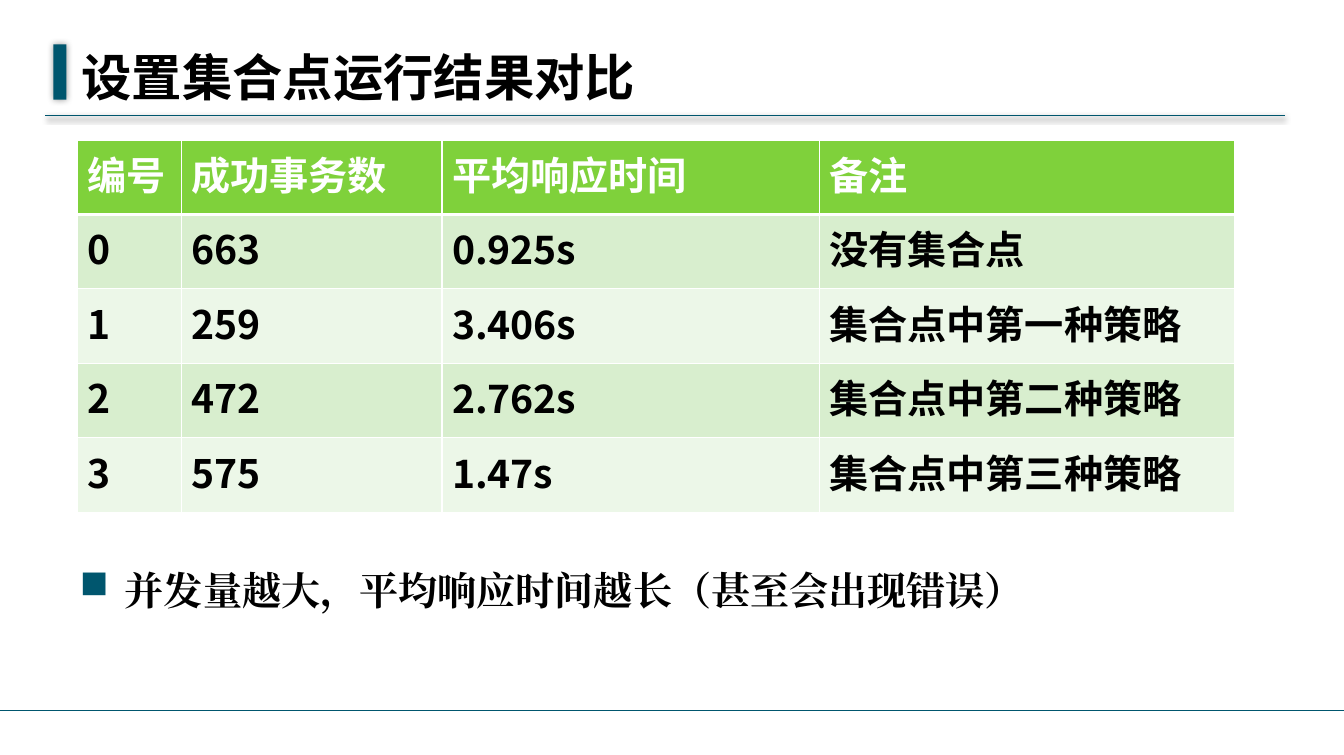
from lxml import etree
from pptx import Presentation, util as u
from pptx.dml.color import RGBColor
from pptx.enum import shapes, text
from pptx.oxml import ns

COLOURS = {"teal": "00566E", "black": "000000", "white": "FFFFFF",
           "header": "7FD13B", "odd": "D8EECE", "even": "ECF7E8"}
SANS, SERIF = "Noto Sans CJK SC", "Times New Roman"
COLUMNS, ROWS = 1335, 750  # the slide is a grid of square cells

deck = Presentation()
cell = u.Inches(0.01)
deck.slide_width, deck.slide_height = COLUMNS * cell, ROWS * cell
page = deck.slides.add_slide(deck.slide_layouts[6])


def write(frame, words, size=28, font=SANS, colour="black"):
    para = frame.paragraphs[0]
    span = para.add_run()
    span.text = words
    span.font.size, span.font.bold, span.font.name = u.Pt(size), True, font
    span.font.color.rgb = RGBColor.from_string(COLOURS[colour])
    east_asian = etree.SubElement(span.font._element, ns.qn("a:ea"))
    east_asian.set("typeface", font)
    return para


def set_shadow(shape, opacity=0, blur=0, distance=0):
    """Give the shape a downward black shadow, or none at zero opacity."""
    effects = etree.SubElement(shape._element.spPr, ns.qn("a:effectLst"))
    if opacity:
        shadow = etree.SubElement(effects, ns.qn("a:outerShdw"), blurRad=str(u.Pt(blur)),
                                  dist=str(u.Pt(distance)), dir="5400000", rotWithShape="0")
        black = etree.SubElement(shadow, ns.qn("a:srgbClr"), val=COLOURS["black"])
        etree.SubElement(black, ns.qn("a:alpha"), val=str(opacity * 1000))


# Title rule and footer rule
for left, right, height, shadow in ((45, 1276, 115, (42, 4, 1.6)), (0, COLUMNS, 706, ())):
    rule = page.shapes.add_connector(shapes.MSO_CONNECTOR.STRAIGHT, left * cell,
                                     height * cell, right * cell, height * cell)
    rule.line.color.rgb = RGBColor.from_string(COLOURS["teal"])
    rule.line.width = u.Pt(1)
    set_shadow(rule, *shadow)

# Title with its accent bar
bar = page.shapes.add_shape(shapes.MSO_SHAPE.RECTANGLE, 53 * cell, 44 * cell, 13 * cell, 55 * cell)
bar.fill.solid()
bar.fill.fore_color.rgb = RGBColor.from_string(COLOURS["teal"])
bar.line.fill.background()
set_shadow(bar, 40, 5)

title = page.shapes.add_textbox(69 * cell, 44 * cell, 905 * cell, 63 * cell)
conclusion = page.shapes.add_textbox(67 * cell, 533 * cell, 1112 * cell, 150 * cell)
for box in (title, conclusion):
    frame = box.text_frame
    frame.word_wrap = True
    frame.margin_left = frame.margin_right = 12 * cell
    frame.margin_top = frame.margin_bottom = 6 * cell
title.text_frame.vertical_anchor = text.MSO_ANCHOR.MIDDLE
write(title.text_frame, "设置集合点运行结果对比", size=36)

# Results table
results = [
    ("编号", "成功事务数", "平均响应时间", "备注"),
    ("0", "663", "0.925s", "没有集合点"),
    ("1", "259", "3.406s", "集合点中第一种策略"),
    ("2", "472", "2.762s", "集合点中第二种策略"),
    ("3", "575", "1.47s", "集合点中第三种策略"),
]
widths, row_height = (103, 259, 375, 412), 74
table = page.shapes.add_table(len(results), len(widths), 77 * cell, 139 * cell, sum(widths) * cell,
                              len(results) * row_height * cell).table
for column, width in zip(table.columns, widths):
    column.width = width * cell
for r, record in enumerate(results):
    table.rows[r].height = row_height * cell
    fill = "header" if r == 0 else "odd" if r % 2 else "even"
    for c, words in enumerate(record):
        entry = table.cell(r, c)
        write(entry.text_frame, words, colour="black" if r else "white")
        properties = entry._tc.get_or_add_tcPr()
        for side in "LRTB":
            under_header = (r, side) in ((0, "B"), (1, "T"))
            border = etree.SubElement(properties, ns.qn("a:ln" + side),
                                      w=str(u.Pt(3 if under_header else 1)))
            paint = etree.SubElement(border, ns.qn("a:solidFill"))
            etree.SubElement(paint, ns.qn("a:srgbClr"), val=COLOURS["white"])
        entry.fill.solid()
        entry.fill.fore_color.rgb = RGBColor.from_string(COLOURS[fill])

# Conclusion with a square bullet
para = write(conclusion.text_frame, "并发量越大，平均响应时间越长（甚至会出现错误）", font=SERIF)
para.line_spacing, para.space_before = 1.5, u.Pt(5.6)
settings = para._p.get_or_add_pPr()
settings.set("marL", str(45 * cell))
settings.set("indent", str(-45 * cell))
bullet_colour = etree.SubElement(settings, ns.qn("a:buClr"))
etree.SubElement(bullet_colour, ns.qn("a:srgbClr"), val=COLOURS["teal"])
etree.SubElement(settings, ns.qn("a:buChar"), char="■")

deck.save("out.pptx")
